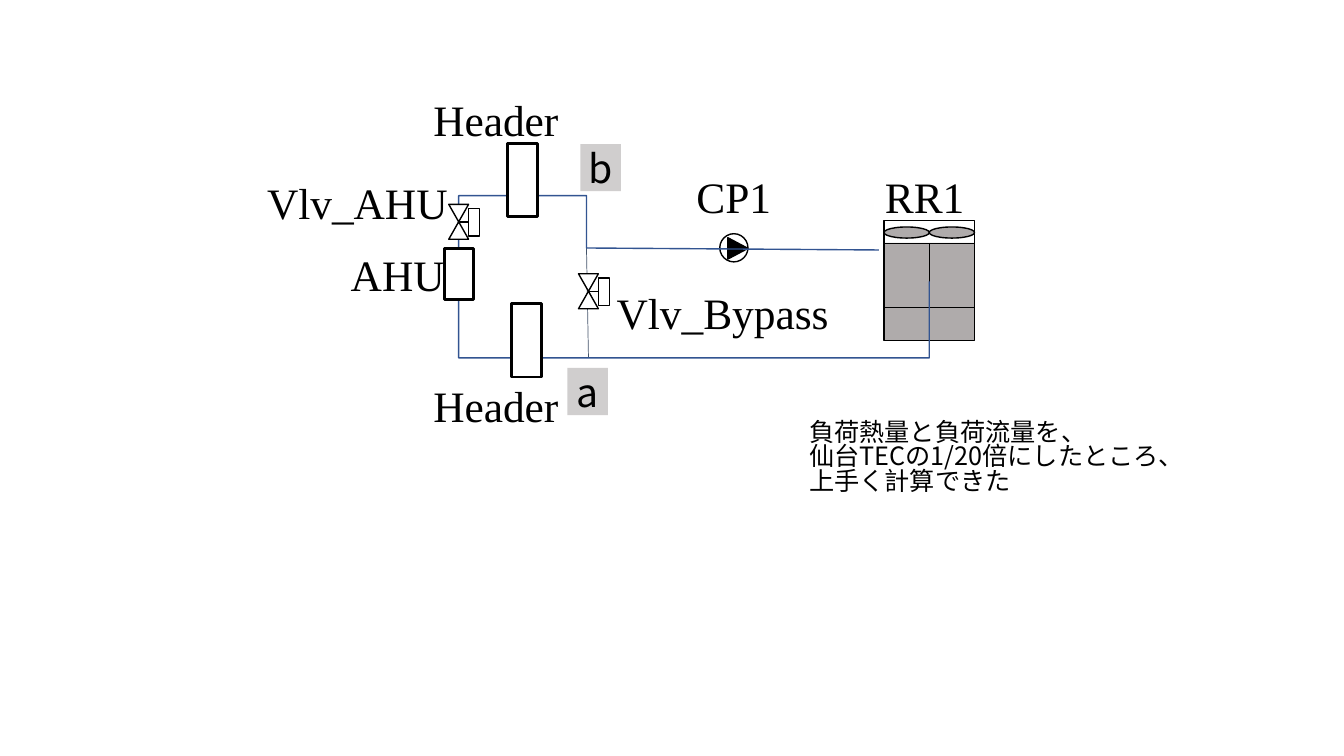
from lxml.etree import SubElement
from pptx import Presentation
from pptx.dml.color import RGBColor
from pptx.enum.shapes import MSO_CONNECTOR, MSO_SHAPE
from pptx.enum.text import MSO_ANCHOR, PP_ALIGN
from pptx.oxml.ns import qn
from pptx.util import Cm, Pt

COLORS = {
    "black": "000000",
    "white": "FFFFFF",
    "unit": "AFABAB",
    "tag": "D0CECE",
    "pipe": "325491",
    "bypass": "44546A",
}
SERIF, SANS = "Times New Roman", "Noto Sans CJK JP"


def paint(shape, fill=None, line=None, width=1):
    shape.shadow.inherit = False
    for part, color in ((shape.fill, fill), (shape.line.fill, line)):
        if color:
            part.solid()
            part.fore_color.rgb = RGBColor.from_string(COLORS[color])
        else:
            part.background()
    if line:
        shape.line.width = Pt(width)


def write(shape, text, size, font, align=PP_ALIGN.LEFT, spacing=1.0):
    """Put black text into a shape, using the font for Latin and Japanese letters."""
    frame = shape.text_frame
    frame.word_wrap = True
    frame.text = text
    for paragraph in frame.paragraphs:
        paragraph.alignment = align
        paragraph.line_spacing = spacing
        for run in paragraph.runs:
            run.font.size = Pt(size)
            run.font.name = font
            run.font.color.rgb = RGBColor.from_string(COLORS["black"])
            SubElement(run._r.get_or_add_rPr(), qn("a:ea"), typeface=font)
    return frame


prs = Presentation()
prs.slide_width, prs.slide_height = Cm(33.87), Cm(19.05)
slide = prs.slides.add_slide(prs.slide_layouts[6])
shapes = slide.shapes

# Refrigerator RR1: body, casing and two fans
rr_left, rr_middle, rr_right = 22.28, 23.42, 24.56
rr_width, fan_width = 2.28, 1.14
body_top, body_split = 6.12, 7.75
body = shapes.add_shape(MSO_SHAPE.RECTANGLE, Cm(rr_left), Cm(body_top), Cm(rr_width), Cm(2.46))
paint(body, "unit")
casing = shapes.add_shape(MSO_SHAPE.RECTANGLE, Cm(rr_left), Cm(5.56), Cm(rr_width), Cm(3.02))
paint(casing, None, "black")
for fan_left in (rr_left, rr_middle):
    fan = shapes.add_shape(MSO_SHAPE.OVAL, Cm(fan_left), Cm(5.72), Cm(fan_width), Cm(0.28))
    paint(fan, "unit", "black")

# Pump CP1
pump = shapes.add_shape(MSO_SHAPE.OVAL, Cm(18.14), Cm(5.89), Cm(0.71), Cm(0.71))
paint(pump, "white", "black")
impeller = shapes.build_freeform(Cm(18.34), Cm(5.99), scale=1.0)
impeller.add_line_segments([(Cm(18.85), Cm(6.26)), (Cm(18.34), Cm(6.53))], close=True)
paint(impeller.convert_to_shape(), "black", "black")

# Straight lines: RR1 panels, bypass pipe and valve stems
valves = [(14.83, 7.34), (11.56, 5.59)]
valve_half_width, valve_half_height = 0.25, 0.44
straight_lines = [
    (rr_left, body_split, rr_right, body_split, "black", 0.5),
    (rr_left, body_top, rr_right, body_top, "black", 0.5),
    (rr_middle, body_top, rr_middle, body_split, "black", 0.5),
    (14.78, 6.25, 14.83, 9.02, "bypass", 0.5),
]
straight_lines += [(x, y, x + valve_half_width, y, "black", 1) for x, y in valves]
for x1, y1, x2, y2, color, width in straight_lines:
    connector = shapes.add_connector(MSO_CONNECTOR.STRAIGHT, Cm(x1), Cm(y1), Cm(x2), Cm(y2))
    connector.line.color.rgb = RGBColor.from_string(COLORS[color])
    connector.line.width = Pt(width)
    SubElement(connector._element.spPr, qn("a:effectLst"))

# Main pipe loop
main_pipe = shapes.build_freeform(Cm(22.15), Cm(6.3), scale=1.0)
pipe_bends = [(14.78, 6.25), (14.78, 4.93), (11.56, 4.93),
              (11.56, 9.02), (rr_middle, 9.02), (rr_middle, 7.09)]
main_pipe.add_line_segments([(Cm(x), Cm(y)) for x, y in pipe_bends], close=False)
paint(main_pipe.convert_to_shape(), None, "pipe")

# Air handling unit and the two headers
for left, top, height in [(11.2, 6.27, 1.27), (12.8, 3.61, 1.85), (12.9, 7.65, 1.85)]:
    vessel = shapes.add_shape(MSO_SHAPE.RECTANGLE, Cm(left), Cm(top), Cm(0.74), Cm(height))
    paint(vessel, "white", "black", 2)

# Valves: two triangles meeting at the centre, with an actuator on the right
for x, y in valves:
    actuator = shapes.add_shape(MSO_SHAPE.RECTANGLE, Cm(x + valve_half_width), Cm(y - 0.33),
                                Cm(0.28), Cm(0.69))
    paint(actuator, "white", "black")
    for edge in (y - valve_half_height, y + valve_half_height):
        triangle = shapes.build_freeform(Cm(x), Cm(y), scale=1.0)
        triangle.add_line_segments([(Cm(x - valve_half_width), Cm(edge)),
                                    (Cm(x + valve_half_width), Cm(edge))], close=True)
        paint(triangle.convert_to_shape(), "white", "black")

# Node tags
for name, left, top in [("a", 14.3, 9.27), ("b", 14.63, 3.63)]:
    tag = shapes.add_shape(MSO_SHAPE.RECTANGLE, Cm(left), Cm(top), Cm(1.02), Cm(1.19))
    paint(tag, "tag")
    frame = write(tag, name, 28, SANS, PP_ALIGN.CENTER)
    frame.vertical_anchor = MSO_ANCHOR.MIDDLE
    frame.margin_left = frame.margin_right = frame.margin_top = frame.margin_bottom = 0

# Equipment labels
labels = [
    ("AHU", 8.84, 6.17, 2.51, 1.5),
    ("Vlv_AHU", 6.73, 4.34, 5, 1.5),
    ("Header", 10.92, 2.26, 3.61, 1.5),
    ("Header", 10.92, 9.45, 3.61, 1.5),
    ("Vlv_Bypass", 15.54, 7.11, 5.41, 1.5),
    ("RR1", 22.3, 4.19, 2.03, 1.5),
    ("CP1", 17.55, 4.19, 1.91, 1.5),
]
for name, left, top, width, height in labels:
    label = shapes.add_textbox(Cm(left), Cm(top), Cm(width), Cm(height))
    frame = write(label, name, 31, SERIF)
    frame.vertical_anchor = MSO_ANCHOR.MIDDLE
    frame.margin_left = frame.margin_right = frame.margin_top = frame.margin_bottom = 0

remark = shapes.add_textbox(Cm(20.14), Cm(10.49), Cm(11.86), Cm(3.33))
write(remark, "負荷熱量と負荷流量を、\n仙台TECの1/20倍にしたところ、\n上手く計算できた", 18, SANS, spacing=0.82)

prs.save("out.pptx")
